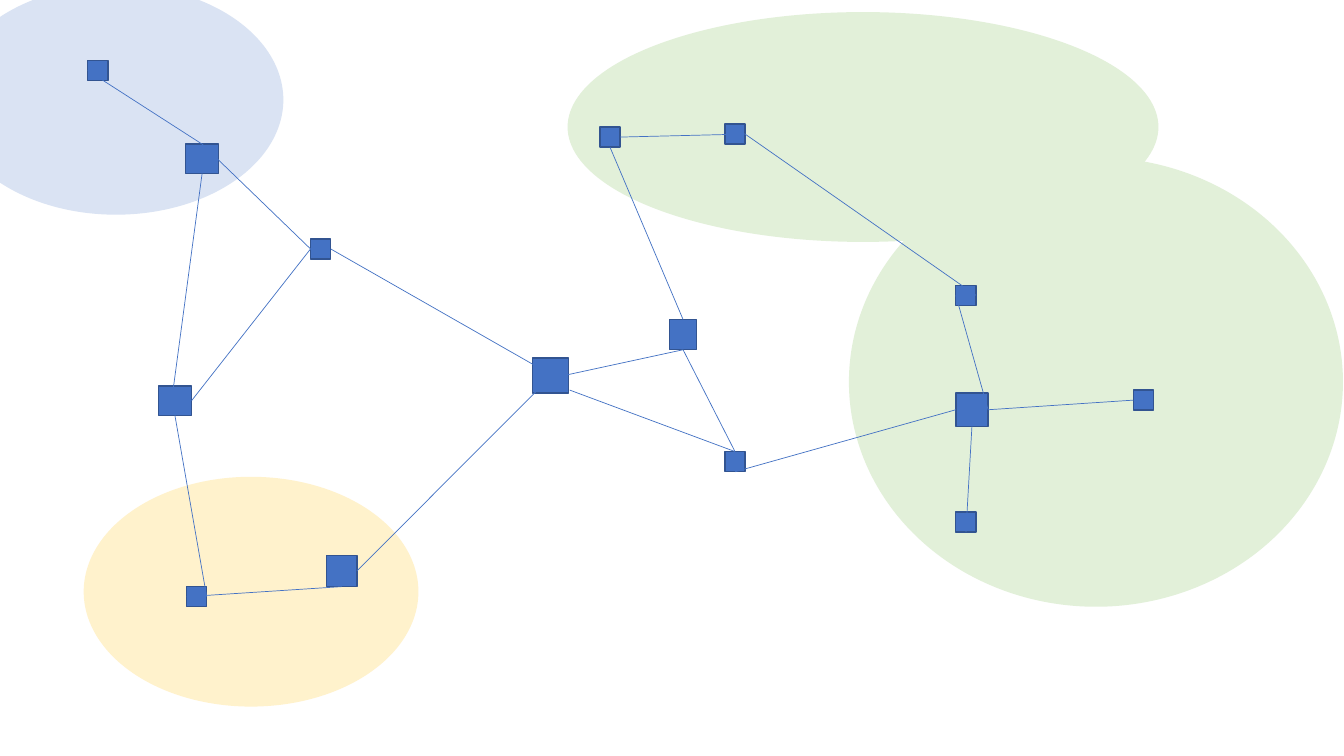
from pptx import Presentation
from pptx.dml.color import RGBColor
from pptx.enum.shapes import MSO_CONNECTOR, MSO_SHAPE
from pptx.util import Inches, Pt
from lxml.etree import SubElement
from pptx.oxml.ns import qn

# Grid: 13.33 columns by 7.5 rows
COLS, ROWS = 13.33, 7.5
SLIDE_W, SLIDE_H = Inches(13.33), Inches(7.5)
TOP, LEFT, BOTTOM, RIGHT = range(4)
NODE_FILL, NODE_EDGE = "4472C4", "325491"
SMALL = (0.2, 0.2)

# Zones: left, top, width, height, fill
ZONES = [
    (0.83, 4.73, 3.32, 2.28, "FFF2CC"),
    (8.42, 1.56, 4.9, 4.46, "E2F0D9"),
    (5.63, 0.12, 5.86, 2.28, "E2F0D9"),
    (-0.51, -0.15, 3.32, 2.28, "DAE3F3"),
]

# Nodes: left, top, width, height
NODES = {
    "green_west": (5.95, 1.26, *SMALL),
    "blue_hub": (1.84, 1.43, 0.33, 0.29),
    "junction": (3.08, 2.37, *SMALL),
    "green_south": (9.48, 5.08, *SMALL),
    "relay": (7.19, 4.48, *SMALL),
    "yellow_hub": (3.24, 5.51, 0.3, 0.31),
    "west_hub": (1.57, 3.83, 0.33, 0.29),
    "green_north": (9.48, 2.83, *SMALL),
    "yellow_leaf": (1.85, 5.82, *SMALL),
    "green_mid": (7.19, 1.23, *SMALL),
    "green_hub": (9.48, 3.9, 0.32, 0.33),
    "core": (5.28, 3.55, 0.36, 0.35),
    "gateway": (6.64, 3.17, 0.27, 0.3),
    "blue_leaf": (0.87, 0.6, *SMALL),
    "green_east": (11.24, 3.87, *SMALL),
}

# Links: each end is a (node, side) pair or a free (column, row) point
LINKS = [
    ((5.48, 3.72), ("yellow_hub", RIGHT)),
    (("yellow_leaf", LEFT), ("yellow_hub", BOTTOM)),
    ((5.47, 3.72), ("junction", RIGHT)),
    (("junction", LEFT), ("west_hub", RIGHT)),
    ((1.71, 3.92), ("blue_hub", BOTTOM)),
    (("blue_leaf", LEFT), ("blue_hub", TOP)),
    ((5.65, 3.87), ("relay", TOP)),
    ((5.48, 3.75), ("gateway", BOTTOM)),
    (("gateway", TOP), ("green_west", BOTTOM)),
    (("green_west", RIGHT), ("green_mid", RIGHT)),
    (("relay", BOTTOM), ("green_hub", LEFT)),
    (("green_hub", RIGHT), ("green_north", LEFT)),
    (("green_hub", BOTTOM), ("green_south", BOTTOM)),
    (("green_hub", RIGHT), ("green_east", LEFT)),
    (("gateway", BOTTOM), ("relay", TOP)),
    (("blue_hub", TOP), ("junction", LEFT)),
    (("west_hub", BOTTOM), ("yellow_leaf", RIGHT)),
    (("green_mid", RIGHT), ("green_north", RIGHT)),
]


def color(hex_value):
    return RGBColor.from_string(hex_value)


def col(n):
    return round(SLIDE_W * n / COLS)


def row(n):
    return round(SLIDE_H * n / ROWS)


def add_filled(s, kind, box, fill):
    x, y, w, h = box
    sp = s.shapes.add_shape(kind, col(x), row(y), col(w), row(h))
    sp.shadow.inherit = False
    sp.fill.solid()
    sp.fill.fore_color.rgb = color(fill)
    return sp


def add_zone(s, *box, fill):
    add_filled(s, MSO_SHAPE.OVAL, box, fill).line.fill.background()


def add_node(s, box):
    sp = add_filled(s, MSO_SHAPE.RECTANGLE, box, NODE_FILL)
    sp.line.color.rgb = color(NODE_EDGE)
    sp.line.width = Pt(1)
    return sp


def add_link(s, nodes, start, end):
    # Free ends keep their place; node ends are moved by the joins below
    points = [(0, 0) if e[0] in nodes else (col(e[0]), row(e[1])) for e in (start, end)]
    line = s.shapes.add_connector(MSO_CONNECTOR.STRAIGHT, *points[0], *points[1])
    for (name, side), join in ((start, line.begin_connect), (end, line.end_connect)):
        if name in nodes:
            join(nodes[name], side)
    line.line.color.rgb = color(NODE_FILL)
    line.line.width = Pt(0.5)
    SubElement(line.element.spPr, qn("a:effectLst"))


def main():
    prs = Presentation()
    prs.slide_width, prs.slide_height = SLIDE_W, SLIDE_H
    s = prs.slides.add_slide(prs.slide_layouts[6])

    # Zones at the back, then nodes, then links
    for *box, fill in ZONES:
        add_zone(s, *box, fill=fill)
    nodes = {name: add_node(s, box) for name, box in NODES.items()}
    for start, end in LINKS:
        add_link(s, nodes, start, end)

    prs.save("out.pptx")


if __name__ == "__main__":
    main()
